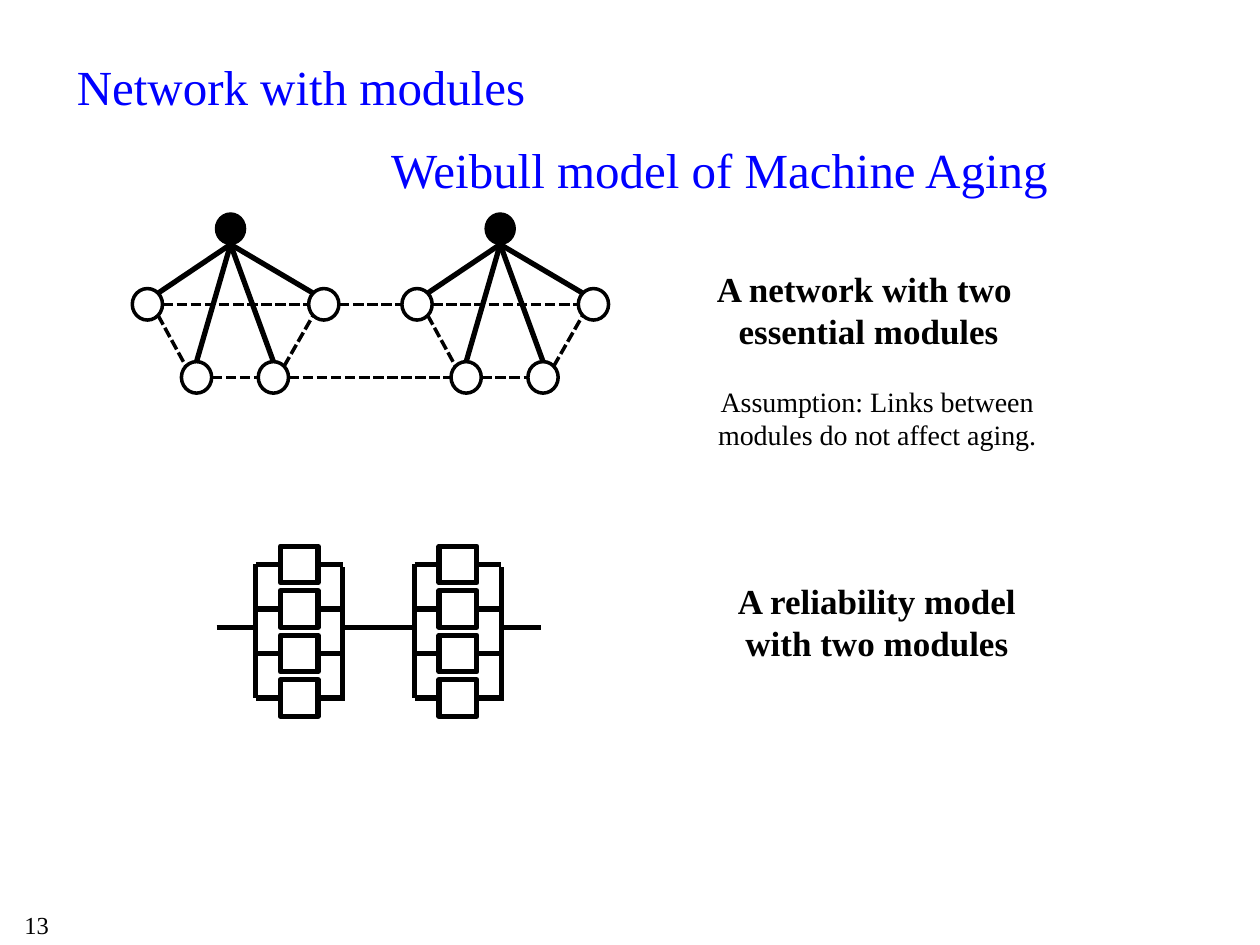
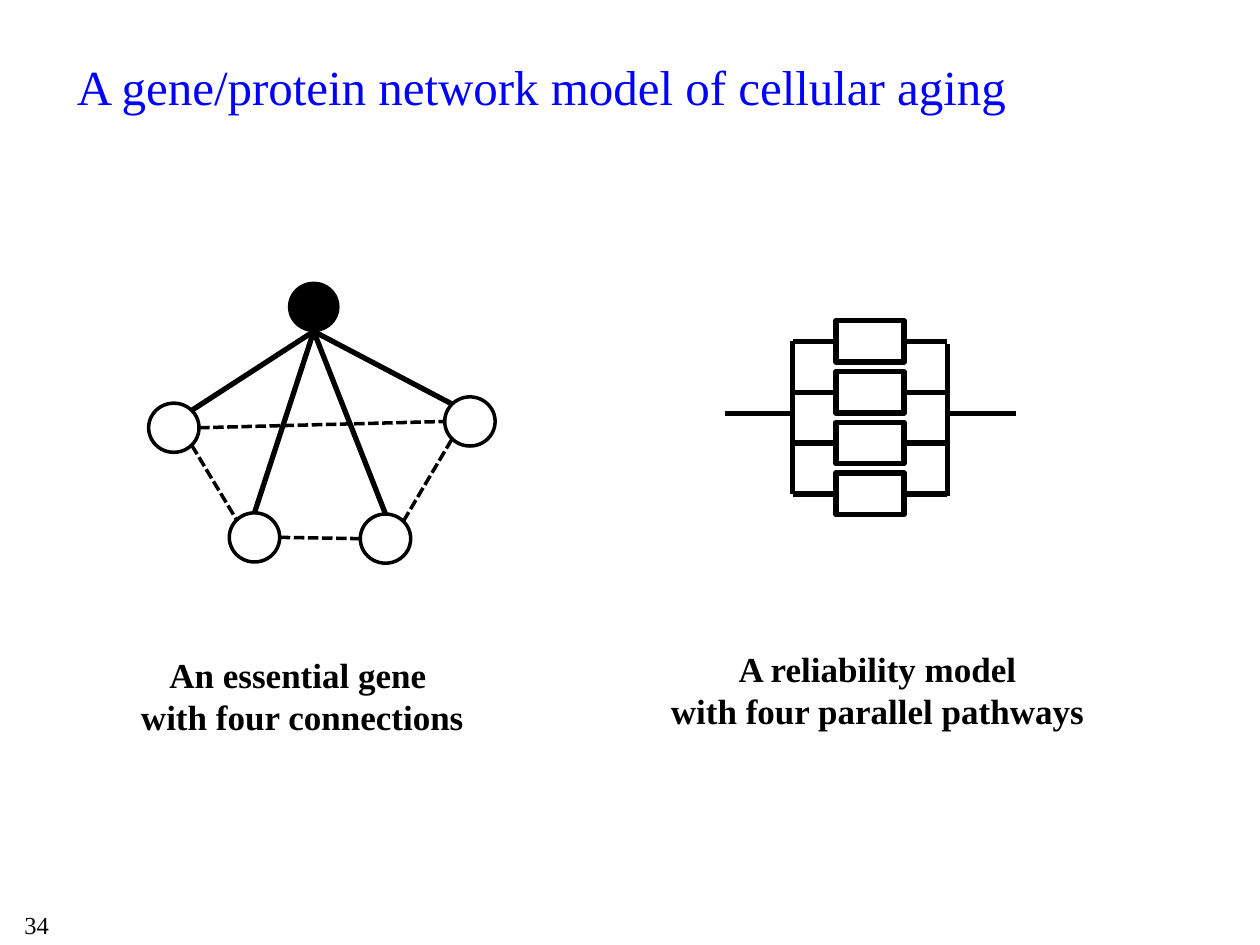
import math

import lxml.etree
import pptx
import pptx.dml.color
import pptx.enum.dml
import pptx.enum.shapes
import pptx.enum.text
import pptx.oxml.ns
import pptx.util
from pptx.util import Inches

SHAPE = pptx.enum.shapes.MSO_SHAPE
ALIGN = pptx.enum.text.PP_ALIGN
AUTO_SIZE = pptx.enum.text.MSO_AUTO_SIZE
FONT = "Times New Roman"
BLACK, WHITE, BLUE = "000000", "FFFFFF", "0000FF"
THIN, DASHED, HEAVY = 0.75, 2, 3

# Directions on a node's rim, in degrees clockwise from the right
RIGHT, LOWER_RIGHT, BOTTOM, LOWER_LEFT = 0, 45, 90, 135
LEFT, UPPER_LEFT, TOP, UPPER_RIGHT = 180, 225, 270, 315


def color(hex_string):
    return pptx.dml.color.RGBColor.from_string(hex_string)


def rim(node, angle):
    """Point on the outline of a node given as (left, top, width, height)."""
    left, top, width, height = node
    turn = math.radians(angle)
    return (left + width / 2 * (1 + math.cos(turn)),
            top + height / 2 * (1 + math.sin(turn)))


class Deck:
    def __init__(self):
        self.presentation = pptx.Presentation()
        self.presentation.slide_width = Inches(10)
        self.presentation.slide_height = Inches(7.5)
        self.slide = None
        self.shapes = None

    def add_slide(self, title, number):
        layout = self.presentation.slide_layouts[5]
        self.slide = self.presentation.slides.add_slide(layout)
        self.title(title)
        self.text(number, (-0.45, 7.17, 1.48, 0.33), 14, wrap=True)

    def start_group(self):
        self.shapes = self.slide.shapes.add_group_shape().shapes

    def format_text(self, frame, size, hex_string, align, bold=False):
        for paragraph in frame.paragraphs:
            paragraph.alignment = align
            for run in paragraph.runs:
                run.font.name = FONT
                run.font.size = pptx.util.Pt(size)
                run.font.bold = bold
                run.font.color.rgb = color(hex_string)

    def title(self, wording):
        title = self.slide.shapes.title
        title.left, title.top = Inches(0.51), Inches(0.26)
        title.width, title.height = Inches(8.5), Inches(1.25)
        frame = title.text_frame
        frame.text = wording
        frame.auto_size = AUTO_SIZE.NONE
        frame.vertical_anchor = pptx.enum.text.MSO_ANCHOR.MIDDLE
        frame.margin_bottom = Inches(0.45)
        self.format_text(frame, 28, BLUE, ALIGN.LEFT)

    def text(self, wording, box, size, bold=False, hex_string=BLACK, wrap=False):
        frame = self.slide.shapes.add_textbox(*map(Inches, box)).text_frame
        frame.text = wording
        frame.word_wrap = wrap
        frame.auto_size = AUTO_SIZE.SHAPE_TO_FIT_TEXT
        self.format_text(frame, size, hex_string, ALIGN.CENTER, bold)

    def caption(self, wording, box):
        self.text(wording, box, 20, bold=True)

    def shape(self, kind, box, weight, fill=None):
        shape = self.shapes.add_shape(kind, *map(Inches, box))
        shape.shadow.inherit = False
        if fill:
            shape.fill.solid()
            shape.fill.fore_color.rgb = color(fill)
        else:
            shape.fill.background()
        shape.line.color.rgb = color(BLACK)
        shape.line.width = pptx.util.Pt(weight)

    def line(self, start, end, dashed=False):
        connector = self.shapes.add_connector(
            pptx.enum.shapes.MSO_CONNECTOR.STRAIGHT, *map(Inches, (*start, *end)))
        connector.line.color.rgb = color(BLACK)
        connector.line.width = pptx.util.Pt(DASHED if dashed else HEAVY)
        if dashed:
            connector.line.dash_style = pptx.enum.dml.MSO_LINE.SQUARE_DOT
        lxml.etree.SubElement(connector._element.spPr, pptx.oxml.ns.qn("a:effectLst"))

    def network(self, origin, node_size, offsets):
        """Hub with four neighbours; offsets run hub, left, lower left, lower right, right."""
        nodes = [(origin[0] + dx, origin[1] + dy, *node_size) for dx, dy in offsets]
        hub, left, lower_left, lower_right, right = nodes
        self.shape(SHAPE.OVAL, hub, THIN, BLACK)
        for node in nodes[1:]:
            self.shape(SHAPE.OVAL, node, DASHED)
        for node, angle in ((left, UPPER_RIGHT), (lower_left, TOP),
                            (lower_right, TOP), (right, UPPER_LEFT)):
            self.line(rim(hub, BOTTOM), rim(node, angle))
        for node, angle, neighbour, neighbour_angle in (
                (lower_right, UPPER_RIGHT, right, LOWER_LEFT),
                (lower_left, RIGHT, lower_right, LEFT),
                (left, RIGHT, right, LEFT),
                (left, LOWER_RIGHT, lower_left, UPPER_LEFT)):
            self.line(rim(node, angle), rim(neighbour, neighbour_angle), dashed=True)
        return nodes

    def parallel_block(self, left, right, top, bottom, box_size, lead_y, lead):
        """Four parallel pathways between two rails, with a lead on each side."""
        width, height = box_size
        for row in range(4):
            y = top + row * (bottom - top) / 3
            self.line((left, y), (right, y))
            box = ((left + right - width) / 2, y - height / 2, width, height)
            self.shape(SHAPE.RECTANGLE, box, HEAVY, WHITE)
        self.line((left, top), (left, bottom))
        self.line((right, top + 0.02), (right, bottom + 0.02))
        self.line((left - lead, lead_y), (left, lead_y))
        self.line((right, lead_y), (right + lead, lead_y))


def modules_slide(deck):
    deck.add_slide("Network with modules", "13")
    deck.text("Weibull model of Machine Aging", (2.52, 1.06, 6.38, 0.57), 28,
              hex_string=BLUE, wrap=True)

    # Two modules and the links between them
    deck.start_group()
    offsets = [(0.66, 0), (0, 0.6), (0.39, 1.18), (1, 1.18), (1.4, 0.6)]
    first, second = [deck.network((x, 1.69), (0.24, 0.25), offsets)
                     for x in (1.05, 3.19)]
    deck.line(rim(first[4], RIGHT), rim(second[1], LEFT), dashed=True)
    deck.line(rim(first[3], RIGHT), rim(second[2], LEFT), dashed=True)

    # Two parallel blocks in series
    deck.start_group()
    for rail in (2.03, 3.29):
        deck.parallel_block(rail, rail + 0.69, 4.48, 5.54, (0.3, 0.29), 4.98, 0.31)

    # Captions
    deck.caption("A network with two \nessential modules", (5.58, 2.07, 2.63, 0.77))
    deck.text("Assumption: Links between \nmodules do not affect aging. ",
              (5.58, 3, 2.82, 0.64), 16)
    deck.caption("A reliability model\nwith two modules", (5.75, 4.55, 2.42, 0.77))


def gene_slide(deck):
    deck.add_slide("A gene/protein network model of cellular aging", "34")

    # Essential gene and its connections
    deck.start_group()
    offsets = [(1.11, 0), (0, 0.96), (0.64, 1.83), (1.68, 1.84), (2.35, 0.91)]
    deck.network((1.18, 2.24), (0.4, 0.39), offsets)

    # Parallel pathways
    deck.start_group()
    deck.parallel_block(6.29, 7.52, 2.71, 3.92, (0.54, 0.33), 3.28, 0.54)

    # Captions
    deck.caption("An essential gene \nwith four connections", (1.01, 5.14, 2.78, 0.77))
    deck.caption("A reliability model\nwith four parallel pathways",
                 (5.21, 5.09, 3.51, 0.77))


def main():
    deck = Deck()
    modules_slide(deck)
    gene_slide(deck)
    deck.presentation.save("out.pptx")


if __name__ == "__main__":
    main()
